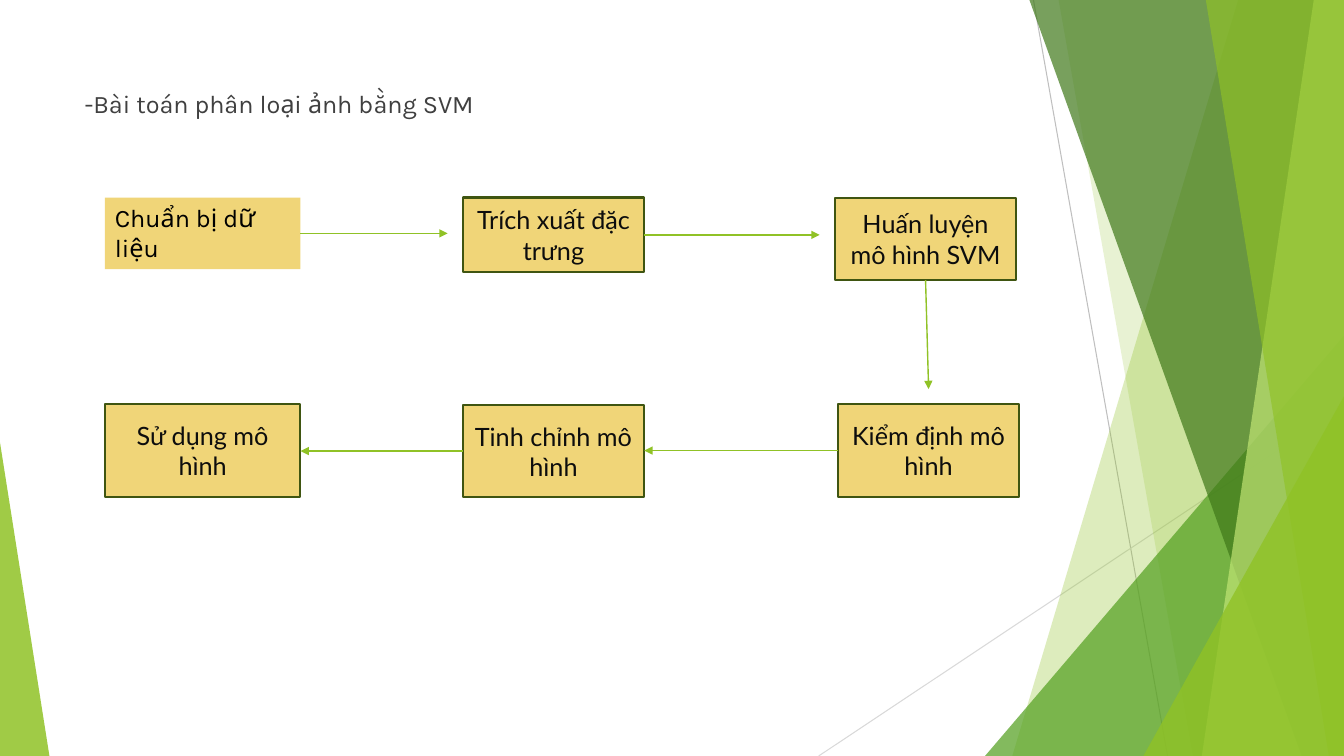
import dataclasses
import pptx
import pptx.util
import pptx.dml.color
import pptx.enum.shapes
import pptx.enum.text
import pptx.oxml
import pptx.oxml.ns
import lxml.etree

Inches = pptx.util.Inches
Pt = pptx.util.Pt
MSO_SHAPE = pptx.enum.shapes.MSO_SHAPE
PP_ALIGN = pptx.enum.text.PP_ALIGN
MSO_ANCHOR = pptx.enum.text.MSO_ANCHOR


@dataclasses.dataclass(frozen=True)
class Theme:
    """Colours, fonts and type sizes of the slide."""
    lime: str = "90C226"
    green: str = "54A021"
    forest: str = "3F7819"
    pale: str = "C0E474"
    gold: str = "F0D578"
    border: str = "3F5511"
    grey: str = "BFBFBF"
    light_grey: str = "D9D9D9"
    heading: str = "404040"
    black: str = "000000"
    ink: str = "0D0D0D"
    heading_font: str = "Karla"
    card_font: str = "Lato"
    size: int = 18


THEME = Theme()


def rgb(value):
    """Return a colour from its hex value."""
    return pptx.dml.color.RGBColor.from_string(value)


def sub(parent, tag, **attrs):
    """Append a drawing element to a parent."""
    return lxml.etree.SubElement(parent, pptx.oxml.ns.qn(tag), **attrs)


def paint(sp, color, opacity=100):
    """Give a shape a flat fill without line or shadow."""
    sp.shadow.inherit = False
    sp.line.fill.background()
    sp.fill.solid()
    sp.fill.fore_color.rgb = rgb(color)
    if opacity < 100:
        clr = sp.fill._xPr.find(".//" + pptx.oxml.ns.qn("a:srgbClr"))
        sub(clr, "a:alpha", val=str(opacity * 1000))


def add_line(s, start, end, color, width, arrow=False):
    """Draw a straight line, with an arrowhead at its end if asked."""
    ends = [Inches(v) for v in (*start, *end)]
    cx = s.shapes.add_connector(pptx.enum.shapes.MSO_CONNECTOR.STRAIGHT, *ends)
    cx.line.color.rgb = rgb(color)
    cx.line.width = Pt(width)
    if arrow:
        sub(cx.line._get_or_add_ln(), "a:tailEnd", type="triangle")
    sub(cx._element.spPr, "a:effectLst")


def add_triangle(s, box, apex, color, opacity):
    """Draw a triangle whose apex lies at a share of its width."""
    sp = s.shapes.add_shape(MSO_SHAPE.ISOSCELES_TRIANGLE, *map(Inches, box))
    sp.adjustments[0] = apex
    paint(sp, color, opacity)


def add_facet(s, box, top_x, bottom_x, color, opacity):
    """Draw a band from a slanted left edge to the right side of the box."""
    x, y, w, h = box
    points = [(x + top_x, y), (x + w, y), (x + w, y + h), (x + bottom_x, y + h)]
    points = [(Inches(px), Inches(py)) for px, py in points]
    fb = s.shapes.build_freeform(*points[0])
    fb.add_line_segments(points[1:], close=True)
    paint(fb.convert_to_shape(), color, opacity)


def add_backdrop(s, box):
    """Draw the facets on the right of the box and the wedge on its left."""
    x, y, w, h = box
    right, bottom = x + w, y + h
    add_line(s, (right - 3.08, y), (right - 1.75, bottom), THEME.grey, 0.75)
    add_line(s, (right, y + 4.03), (right - 5.21, bottom), THEME.light_grey, 0.75)

    def corner(width, height, color, opacity):
        """Draw a triangle in the lower right corner."""
        add_triangle(s, (right - width, bottom - height, width, height), 1, color, opacity)

    add_facet(s, box, w - 1.05, w - 3.29, THEME.lime, 30)
    add_facet(s, box, w - 2.83, w - 1.5, THEME.lime, 20)
    corner(3.56, 4.17, THEME.green, 72)
    add_facet(s, box, w - 3.12, w - 0.42, THEME.forest, 70)
    add_facet(s, box, w - 0.3, w - 1.41, THEME.pale, 70)
    add_facet(s, box, w - 1.37, w - 0.15, THEME.lime, 65)
    corner(1.99, 3.57, THEME.lime, 80)
    add_triangle(s, (x, bottom - 3.11, 0.49, 3.11), 0, THEME.lime, 85)


def write(tf, text, font, color, align=PP_ALIGN.LEFT, anchor=MSO_ANCHOR.TOP):
    """Write one run of wrapped text."""
    tf.word_wrap = True
    tf.vertical_anchor = anchor
    p = tf.paragraphs[0]
    p.alignment = align
    r = p.add_run()
    r.text = text
    r.font.name = font
    r.font.size = Pt(THEME.size)
    r.font.color.rgb = rgb(color)


def add_heading(s, box, text):
    """Place the heading in its box."""
    tb = s.shapes.add_textbox(*map(Inches, box))
    write(tb.text_frame, text, THEME.heading_font, THEME.heading)


def add_card(s, box, text, first):
    """Place one step, the first one plain and the others outlined."""
    sp = s.shapes.add_shape(MSO_SHAPE.RECTANGLE, *map(Inches, box))
    paint(sp, THEME.gold)
    if first:
        write(sp.text_frame, text, THEME.heading_font, THEME.black)
        return
    sp.line.color.rgb = rgb(THEME.border)
    sp.line.width = Pt(1.5)
    write(sp.text_frame, text, THEME.card_font, THEME.ink, PP_ALIGN.CENTER, MSO_ANCHOR.MIDDLE)


def add_arrow(s, source, target, gap):
    """Point from one step's edge to the next, stopping a gap before it."""
    x, y, w, h = source
    tx, ty, tw, th = target
    middle = y + h / 2
    if ty > y + h:
        start, end = (x + w / 2, y + h), (tx + tw / 2, ty - gap)
    elif tx > x:
        start, end = (x + w, middle), (tx - gap, middle)
    else:
        start, end = (x, middle), (tx + tw + gap, middle)
    add_line(s, start, end, THEME.lime, 1, arrow=True)


def add_flow(s, box):
    """Lay out the six steps and join them in order."""
    x, y, w, h = box
    middle, lower = x + 3.55, y + 2.05
    steps = [
        ("Chuẩn bị dữ liệu", (x, y, 1.94, 0.71), 0.15),
        ("Trích xuất đặc trưng", (middle, y, 1.8, 0.74), 0.15),
        ("Huấn luyện mô hình SVM", (x + w - 1.83, y, 1.8, 0.82), 0.15),
        ("Kiểm định mô hình", (x + w - 1.8, lower, 1.8, h - 2.05), 0),
        ("Tinh chỉnh mô hình", (middle, lower + 0.01, 1.8, h - 2.06), 0),
        ("Sử dụng mô hình", (x, lower, 1.94, h - 2.05), 0),
    ]
    for i, (text, card, gap) in enumerate(steps):
        add_card(s, card, text, i == 0)
    for (_, source, gap), (_, target, _) in zip(steps, steps[1:]):
        add_arrow(s, source, target, gap)


def main():
    """Build the slide and save it."""
    prs = pptx.Presentation()
    prs.slide_width, prs.slide_height = Inches(13.33), Inches(7.5)
    s = prs.slides.add_slide(prs.slide_layouts[6])
    add_backdrop(s, (0, 0, 13.33, 7.5))
    add_heading(s, (0.74, 0.83, 9.51, 0.4), "-Bài toán phân loại ảnh bằng SVM")
    add_flow(s, (1.04, 1.96, 9.07, 2.97))
    prs.save("out.pptx")


if __name__ == "__main__":
    main()
